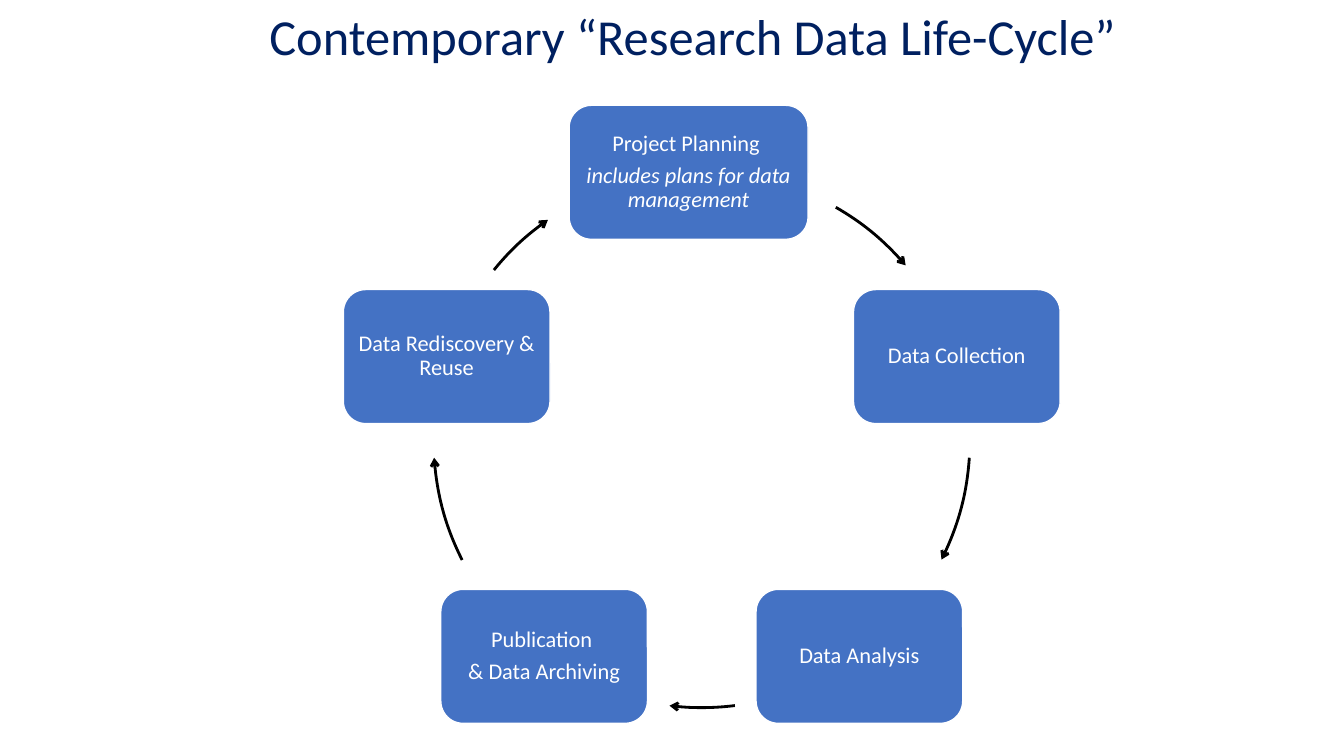
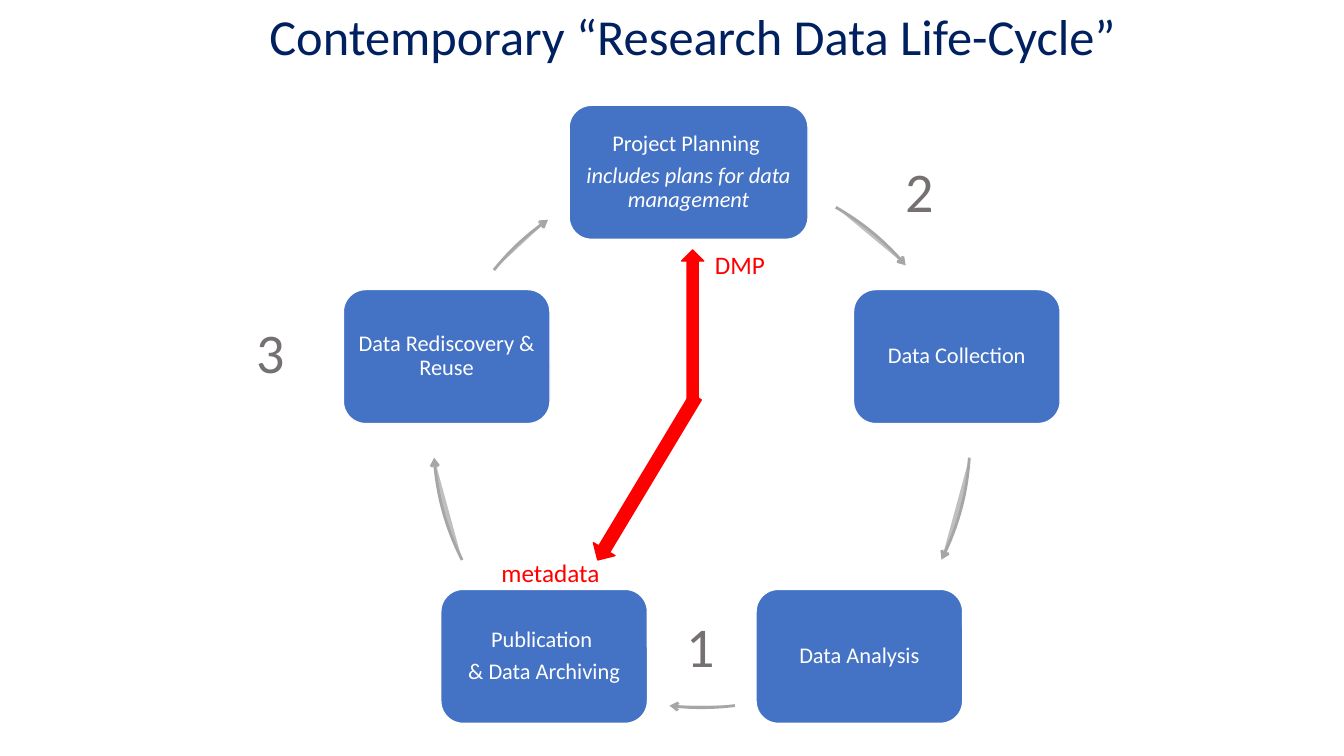
from math import cos, radians, sin

from lxml import etree
from pptx import Presentation
from pptx.dml.color import RGBColor
from pptx.enum.shapes import MSO_SHAPE
from pptx.enum.text import MSO_ANCHOR, PP_ALIGN
from pptx.oxml.ns import qn
from pptx.util import Inches, Pt

ROUND = MSO_SHAPE.ROUNDED_RECTANGLE
ARROW = MSO_SHAPE.UP_ARROW
MIDDLE = MSO_ANCHOR.MIDDLE
CENTER = PP_ALIGN.CENTER

COLORS = {
    "title": "002060", "box": "4472C4", "white": "FFFFFF", "black": "000000",
    "gray": "A6A6A6", "pale": "BFBFBF", "red": "FF0000", "number": "767171",
}
FONT = "Calibri"
TITLE = "Contemporary “Research Data Life-Cycle”"

# The cycle: five stages, evenly spaced clockwise from the top of a ring
MID_X, MID_Y, RADIUS = 6.96, 4.36, 2.66
BOX_W, BOX_H, WIDE_W = 2.05, 1.33, 2.37
STAGES = [
    ["Project Planning ", "includes plans for data management"],
    ["Data Collection"],
    ["Data Analysis"],
    ["Publication ", "& Data Archiving"],
    ["Data Rediscovery & Reuse"],
]
PLAN_X, PLAN_Y = -0.13, 0.01  # shift of the wide first stage
ARCS = [(-60, -40.5), (3.9, 26.6), (82.9, 96.9), (153.3, 176.1), (219.2, 235)]
DEGREE = 60000  # angle units in a degree

LABELS = [  # text, left, top, width, height, size, color
    ("metadata", 4.64, 5.48, 1.64, 0.4, 18, "red"),
    ("DMP", 6.52, 2.42, 1.64, 0.4, 18, "red"),
    ("1", 6.4, 6.02, 1.09, 0.77, 40, "number"),
    ("2", 8.58, 1.5, 1.09, 0.77, 40, "number"),
    ("3", 2.14, 3.1, 1.09, 0.77, 40, "number"),
]
POINTERS = [(6.76, 2.48, 0.22, 1.5, 0), (6.29, 3.8, 0.25, 1.89, 211)]


def rgb(name):
    return RGBColor.from_string(COLORS[name])


def assign(target, values):
    for name, value in values.items():
        setattr(target, name, value)


def paint(shape, fill, line, width):
    shape.shadow.inherit = False
    if fill:
        shape.fill.solid()
        shape.fill.fore_color.rgb = rgb(fill)
    else:
        shape.fill.background()
    shape.line.color.rgb = rgb(line)
    shape.line.width = Pt(width)


def write(frame, lines, size, color, **layout):
    """Fill a frame with centred lines, passing layout to each paragraph."""
    frame.word_wrap = True
    for i, text in enumerate(lines):
        para = frame.paragraphs[0] if i == 0 else frame.add_paragraph()
        assign(para, {"alignment": CENTER, **layout})
        run = para.add_run()
        run.text = text
        assign(run.font, {"name": FONT, "size": Pt(size)})
        run.font.color.rgb = rgb(color)


def add_label(slide, text, left, top, width, height, size, color):
    box = slide.shapes.add_textbox(*map(Inches, (left, top, width, height)))
    write(box.text_frame, [text], size, color)


def on_ring(angle, mid_x, mid_y):
    """Point on a ring, in inches; 0 degrees is right, clockwise."""
    turn = radians(angle)
    return mid_x + RADIUS * cos(turn), mid_y + RADIUS * sin(turn)


def add_stage(slide, index, lines):
    x, y = on_ring(index * 360 / len(STAGES) - 90, MID_X, MID_Y)
    width = BOX_W
    if index == 0:
        x, y, width = x + PLAN_X, y + PLAN_Y, WIDE_W
    place = (x - width / 2, y - BOX_H / 2, width, BOX_H)
    box = slide.shapes.add_shape(ROUND, *map(Inches, place))
    paint(box, "box", "white", 1)
    frame = box.text_frame
    inset = Inches(0.07)
    assign(frame, {
        "margin_left": inset, "margin_right": inset, "margin_top": inset,
        "margin_bottom": inset, "vertical_anchor": MIDDLE,
    })
    write(frame, lines, 16, "white", line_spacing=0.9, space_after=Pt(5.6))
    if index == 0:
        frame.paragraphs[1].runs[0].font.italic = True


def add_arc(slide, start, end, line, fill):
    """Add a freeform as large as the ring that holds one true arc of it."""
    left, top = Inches(MID_X - RADIUS), Inches(MID_Y - RADIUS)
    size, radius = Inches(2 * RADIUS), Inches(RADIUS)
    outline = slide.shapes.build_freeform(left, top)
    outline.add_line_segments([(left + size, top + size)], close=False)
    arc = outline.convert_to_shape()
    track = next(arc.element.iter(qn("a:path")))
    for part in list(track):
        track.remove(part)
    x, y = map(Inches, on_ring(start, RADIUS, RADIUS))
    move = etree.SubElement(track, qn("a:moveTo"))
    etree.SubElement(move, qn("a:pt"), x=str(x), y=str(y))
    etree.SubElement(track, qn("a:arcTo"), wR=str(radius), hR=str(radius),
                     stAng=str(round(start % 360 * DEGREE)),
                     swAng=str(round((end - start) * DEGREE)))
    paint(arc, fill, line, 2)
    edge = next(arc.element.iter(qn("a:ln")))
    etree.SubElement(edge, qn("a:tailEnd"), type="arrow")


def add_pointer(slide, left, top, width, height, turn):
    place = map(Inches, (left, top, width, height))
    arrow = slide.shapes.add_shape(ARROW, *place)
    arrow.rotation = turn
    paint(arrow, "red", "red", 1)


def add_cycle(deck, line, fill=None):
    """Add a slide with the title, the stages and the arcs between them."""
    slide = deck.slides.add_slide(deck.slide_layouts[6])
    for index, lines in enumerate(STAGES):
        add_stage(slide, index, lines)
        add_arc(slide, *ARCS[index], line, fill)
    add_label(slide, TITLE, 2.06, 0, 9.62, 0.71, 36, "title")
    return slide


def main():
    deck = Presentation()
    assign(deck, {"slide_width": Inches(13.33), "slide_height": Inches(7.5)})
    add_cycle(deck, "black")
    slide = add_cycle(deck, "gray", "pale")
    for pointer in POINTERS:
        add_pointer(slide, *pointer)
    for label in LABELS:
        add_label(slide, *label)
    deck.save("out.pptx")


if __name__ == "__main__":
    main()
